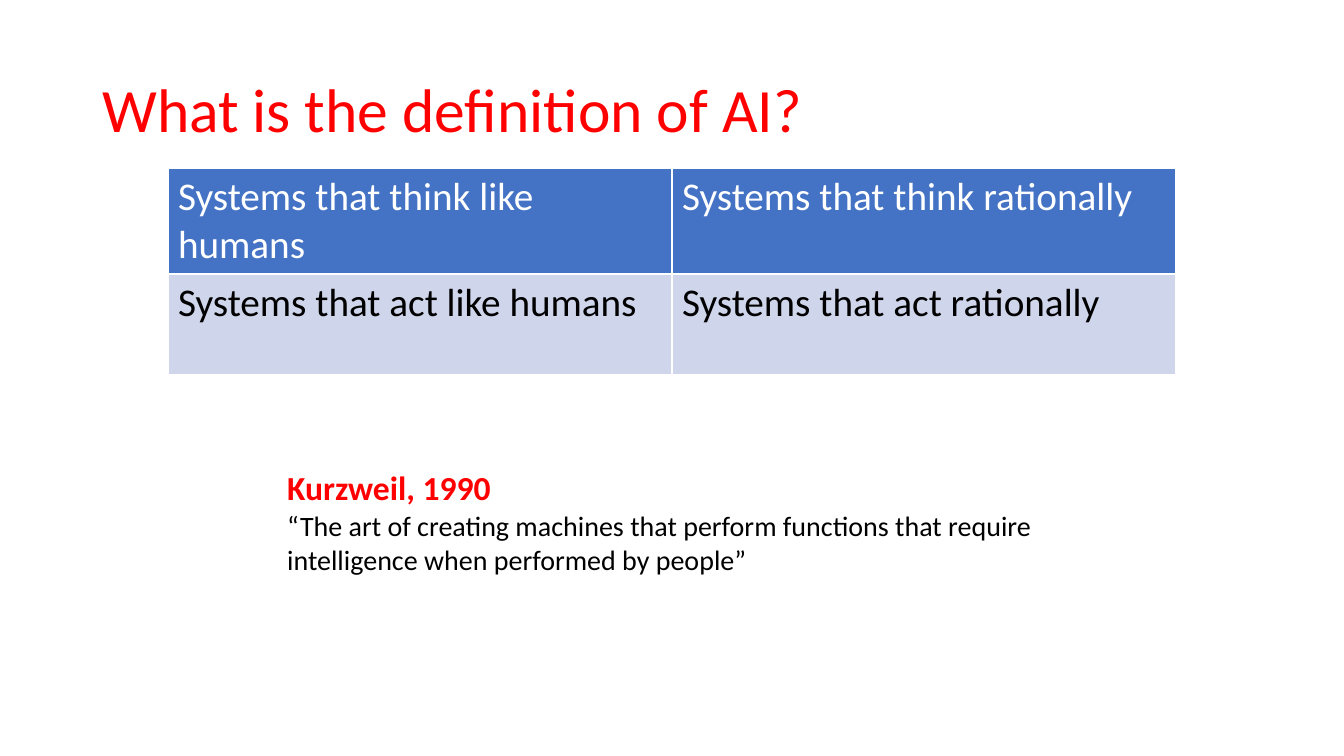
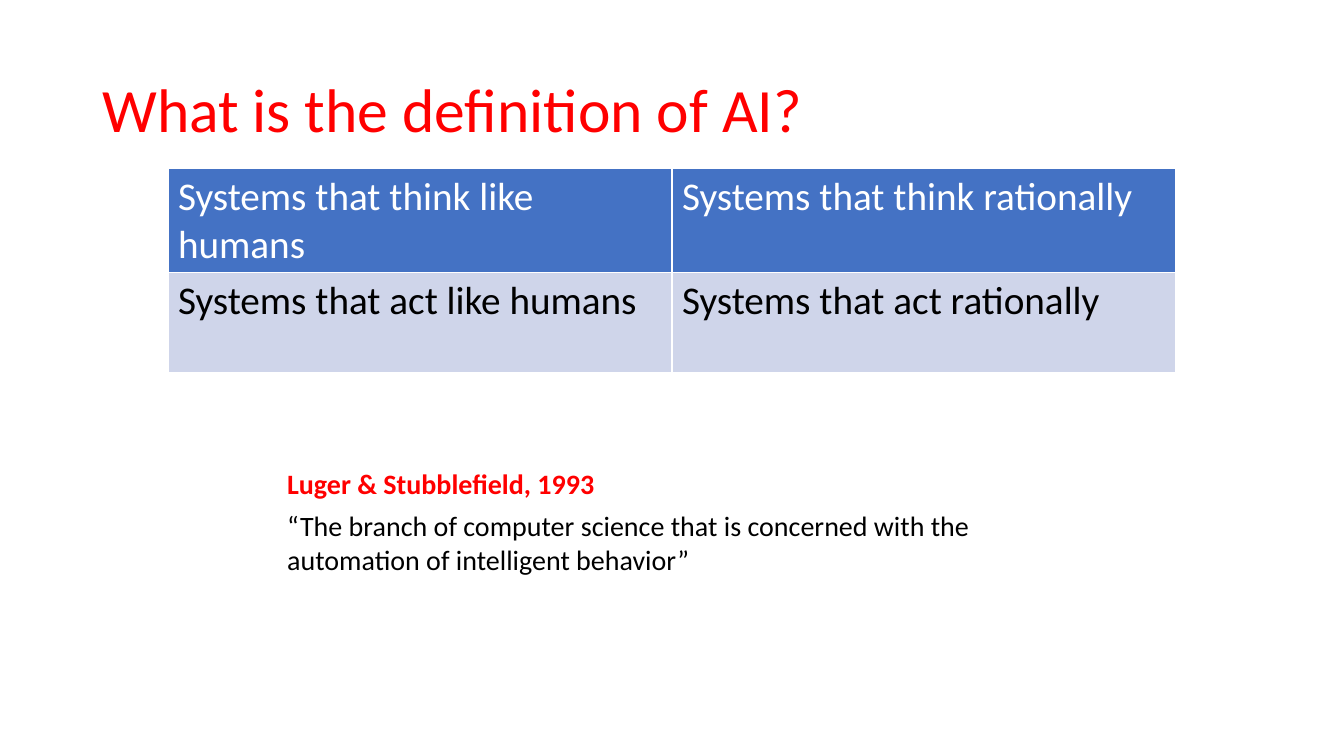
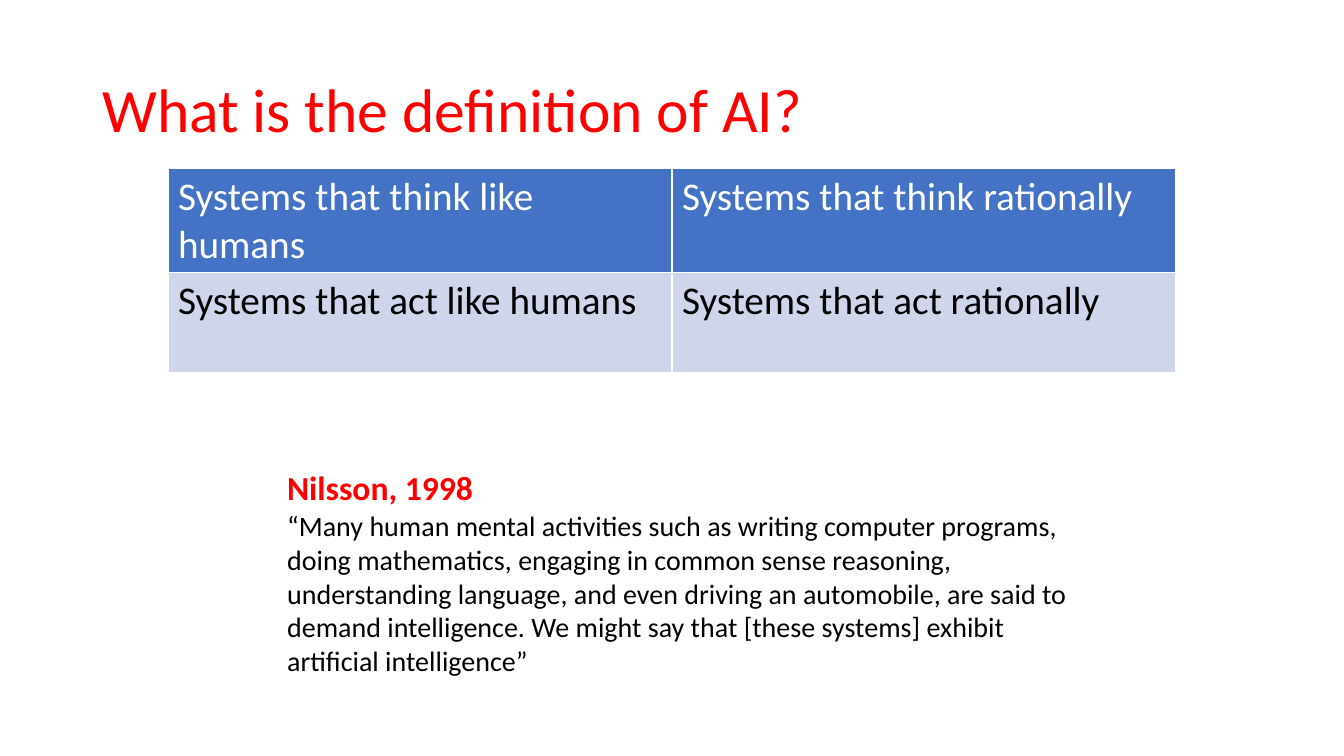
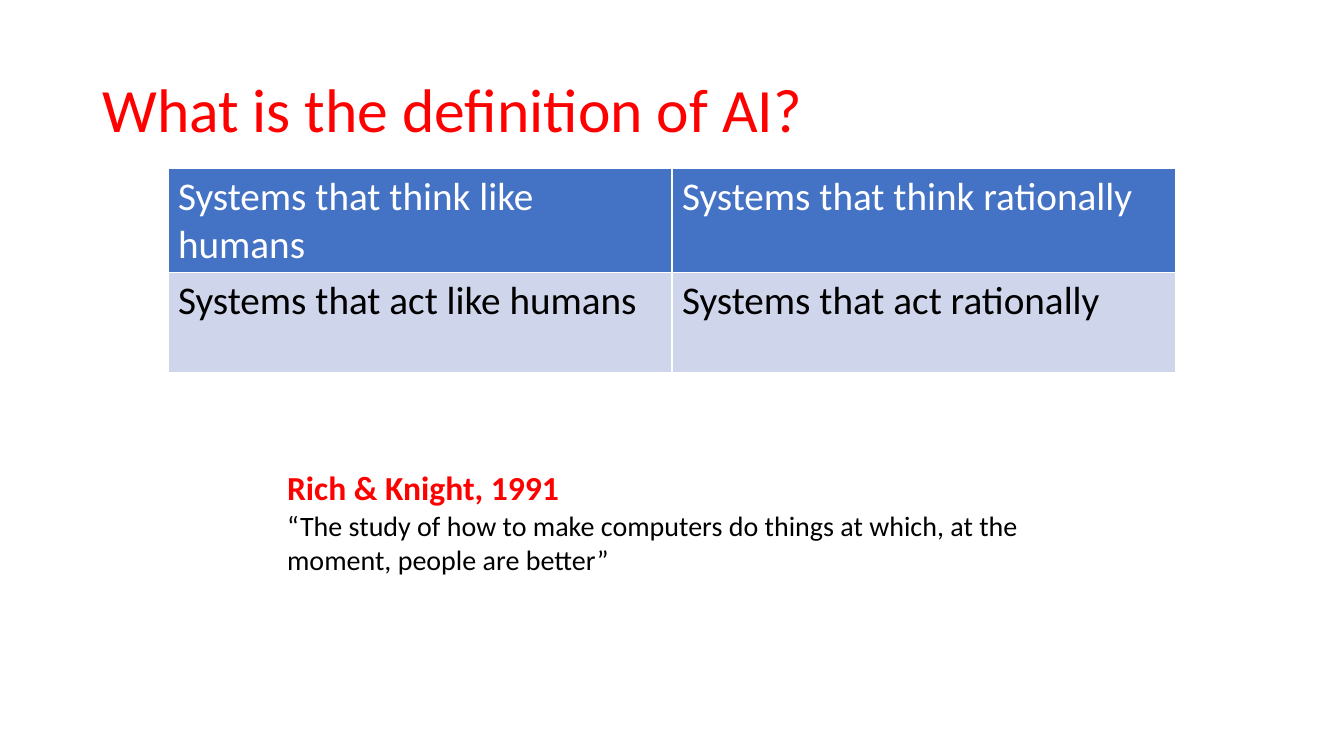
from lxml.etree import SubElement
from pptx import Presentation
from pptx.dml.color import RGBColor
from pptx.enum.text import MSO_ANCHOR, MSO_AUTO_SIZE
from pptx.oxml.ns import qn
from pptx.util import Emu, Pt

FONT = "Calibri"
RED, BLACK, WHITE = "FF0000", "000000", "FFFFFF"
BLUE, PALE = "4472C4", "CFD5EA"
TITLE = "What is the definition of AI?"
LEFT = 264

SYSTEMS = [
    (BLUE, WHITE, 93, ["Systems that think like humans", "Systems that think rationally"]),
    (PALE, BLACK, 96, ["Systems that act like humans", "Systems that act rationally"]),
]

DEFINITIONS = [
    ("Kurzweil, 1990", 24, 215, 74,
     "“The art of creating machines that perform functions that require "
     "intelligence when performed by people”"),
    ("Luger & Stubblefield, 1993", 20, 315, 74,
     "“The branch of computer science that is concerned with the "
     "automation of intelligent behavior”"),
    ("Nilsson, 1998", 24, 198, 171,
     "“Many human mental activities such as writing computer programs, "
     "doing mathematics, engaging in common sense reasoning, "
     "understanding language, and even driving an automobile, are said to "
     "demand intelligence. We might say that [these systems] exhibit "
     "artificial intelligence”"),
    ("Rich & Knight, 1991", 24, 280, 74,
     "“The study of how to make computers do things at which, at the "
     "moment, people are better”"),
]


def px(n):
    return Emu(n * 9525)


def color(value):
    return RGBColor.from_string(value)


def add_run(p, text, size, hue, bold=False):
    r = p.add_run()
    r.text = text
    r.font.name = FONT
    r.font.size = Pt(size)
    r.font.bold = bold
    r.font.color.rgb = color(hue)


def add_text(s, box, text, size, hue, bold=False, wrap=True):
    tf = s.shapes.add_textbox(*map(px, box)).text_frame
    tf.word_wrap = wrap
    tf.auto_size = MSO_AUTO_SIZE.SHAPE_TO_FIT_TEXT
    add_run(tf.paragraphs[0], text, size, hue, bold)
    return tf


def add_title(s):
    tf = add_text(s, (88, 38, 1104, 139), TITLE, 44, RED)
    tf.auto_size = MSO_AUTO_SIZE.NONE
    tf.vertical_anchor = MSO_ANCHOR.MIDDLE
    tf.paragraphs[0].line_spacing = 0.9


def set_borders(cell, hue, width):
    props = cell._tc.get_or_add_tcPr()
    for i, side in enumerate(("a:lnL", "a:lnR", "a:lnT", "a:lnB")):
        line = SubElement(props, qn(side), w=str(Pt(width)))
        SubElement(SubElement(line, qn("a:solidFill")), qn("a:srgbClr"), val=hue)
        props.insert(i, line)


def add_systems_table(s):
    height = sum(row[2] for row in SYSTEMS)
    table = s.shapes.add_table(2, 2, *map(px, (160, 160, 960, height))).table
    for i, (fill, hue, row_height, texts) in enumerate(SYSTEMS):
        table.rows[i].height = px(row_height)
        for j, text in enumerate(texts):
            cell = table.cell(i, j)
            cell.fill.solid()
            cell.fill.fore_color.rgb = color(fill)
            set_borders(cell, WHITE, 1)
            add_run(cell.text_frame.paragraphs[0], text, 28, hue)


def add_definition(s, author, size, width, height, quote):
    add_text(s, (LEFT, 440, width, 2 * size), author, size, RED, bold=True, wrap=False)
    add_text(s, (LEFT, 480, 792, height), quote, 20, BLACK)


def main():
    prs = Presentation()
    prs.slide_width, prs.slide_height = px(1280), px(720)
    for definition in DEFINITIONS:
        s = prs.slides.add_slide(prs.slide_layouts[6])
        add_title(s)
        add_systems_table(s)
        add_definition(s, *definition)
    prs.save("out.pptx")


if __name__ == "__main__":
    main()
